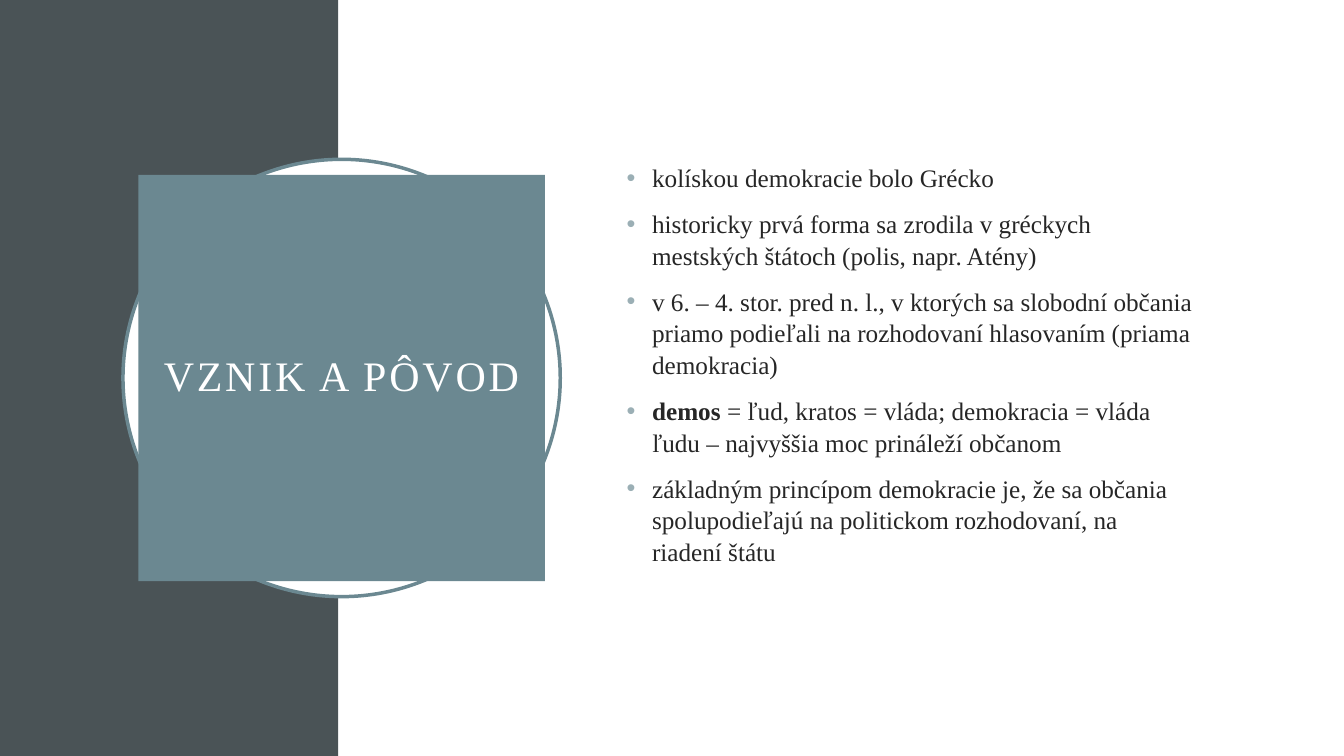
from dataclasses import dataclass
from lxml.etree import SubElement
from pptx import Presentation
from pptx.dml.color import RGBColor
from pptx.enum.shapes import MSO_SHAPE
from pptx.enum.text import MSO_ANCHOR, MSO_AUTO_SIZE, PP_ALIGN
from pptx.oxml.ns import qn
from pptx.util import Cm, Pt

TITLE = "VZNIK A PÔVOD"
# Each point is a list of (text, bold) runs.
POINTS = [
    [("kolískou demokracie bolo Grécko", False)],
    [("historicky prvá forma sa zrodila v gréckych mestských štátoch "
      "(polis, napr. Atény)", False)],
    [("v 6. – 4. stor. pred n. l., v ktorých sa slobodní občania priamo "
      "podieľali na rozhodovaní hlasovaním (priama demokracia)", False)],
    [("demos", True),
     (" = ľud, kratos = vláda; demokracia = vláda ľudu – najvyššia moc "
      "prináleží občanom", False)],
    [("základným princípom demokracie je, že sa občania spolupodieľajú na "
      "politickom rozhodovaní, na riadení štátu", False)],
]


@dataclass(frozen=True)
class Theme:
    font: str = "Times New Roman"
    dark: str = "4A5356"
    teal: str = "6B8891"
    white: str = "FFFFFF"
    ink: str = "262626"
    dot: str = "9BAFB5"
    head: int = 30
    body: int = 18


THEME = Theme()
WIDTH, HEIGHT = 33.87, 19.05
BAND = 8.53
HUB = 8.61
RING, SQUARE = 11.02, 10.24
LIST = (15.54, 4.09, 14.78, 10.16)


def centred(size):
    return HUB - size / 2, (HEIGHT - size) / 2, size, size


def place(shape, box):
    shape.left, shape.top, shape.width, shape.height = map(Cm, box)


def paint(shape, fill):
    shape.fill.solid()
    shape.fill.fore_color.rgb = RGBColor.from_string(fill)


def draw(slide, kind, box, fill, line=None):
    shape = slide.shapes.add_shape(kind, *map(Cm, box))
    shape.shadow.inherit = False
    paint(shape, fill)
    if line:
        shape.line.color.rgb = RGBColor.from_string(line)
        shape.line.width = Pt(2.5)
    else:
        shape.line.fill.background()


def dot(para):
    """Give the paragraph a hanging coloured bullet."""
    props = para._p.get_or_add_pPr()
    props.set("marL", str(Cm(0.64)))
    props.set("indent", str(-Cm(0.64)))
    tint = SubElement(props, qn("a:buClr"))
    SubElement(tint, qn("a:srgbClr"), val=THEME.dot)
    SubElement(props, qn("a:buFont"), typeface="Arial")
    SubElement(props, qn("a:buChar"), char="•")


def write(shape, paras, size, color, align=PP_ALIGN.LEFT, lead=1.0,
          gap=0, track=0, inset=None, bullet=False):
    frame = shape.text_frame
    frame.word_wrap = True
    frame.auto_size = MSO_AUTO_SIZE.NONE
    frame.vertical_anchor = MSO_ANCHOR.MIDDLE
    if inset is not None:
        frame.margin_left = frame.margin_right = Cm(inset)
        frame.margin_top = frame.margin_bottom = Cm(inset)
    for i, runs in enumerate(paras):
        para = frame.add_paragraph() if i else frame.paragraphs[0]
        para.alignment = align
        para.line_spacing = lead
        para.space_before = Pt(gap if i else 0)
        if bullet:
            dot(para)
        for text, bold in runs:
            run = para.add_run()
            run.text = text
            font = run.font
            font.name, font.size, font.bold = THEME.font, Pt(size), bold
            font.color.rgb = RGBColor.from_string(color)
            if track:
                run._r.get_or_add_rPr().set("spc", str(track * 100))


def main():
    deck = Presentation()
    deck.slide_width, deck.slide_height = Cm(WIDTH), Cm(HEIGHT)
    slide = deck.slides.add_slide(deck.slide_layouts[1])
    title, body = slide.placeholders

    rect = MSO_SHAPE.RECTANGLE
    draw(slide, rect, (0, 0, BAND, HEIGHT), THEME.dark)
    draw(slide, rect, (BAND, 0, WIDTH - BAND, HEIGHT), THEME.white)
    draw(slide, MSO_SHAPE.OVAL, centred(RING), THEME.white, THEME.teal)

    # Bring the placeholders in front of the backdrop.
    for holder in (title, body):
        slide.shapes._spTree.append(holder._element)

    place(title, centred(SQUARE))
    paint(title, THEME.teal)
    write(title, [[(TITLE, False)]], THEME.head, THEME.white,
          align=PP_ALIGN.CENTER, lead=0.9, track=2, inset=0.51)
    place(body, LIST)
    write(body, POINTS, THEME.body, THEME.ink, lead=1.05, gap=10, bullet=True)
    deck.save("out.pptx")


if __name__ == "__main__":
    main()
